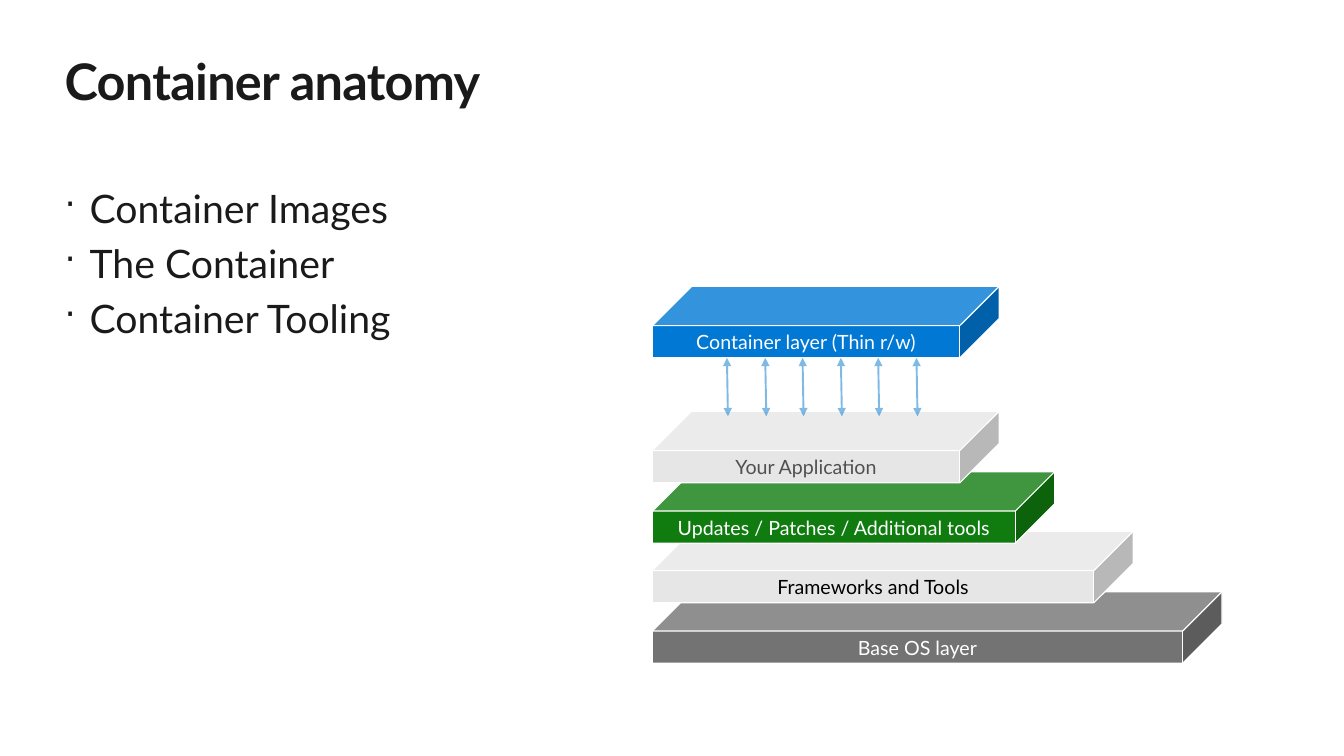
from lxml.etree import SubElement
from pptx import Presentation
from pptx.dml.color import RGBColor
from pptx.enum.shapes import MSO_CONNECTOR, MSO_SHAPE
from pptx.enum.text import MSO_ANCHOR, PP_ALIGN
from pptx.oxml.ns import qn
from pptx.util import Pt

PX = 9144  # 100 px to the inch
FONT = "Lato"

WHITE = RGBColor(0xFF, 0xFF, 0xFF)
BLACK = RGBColor(0x00, 0x00, 0x00)
INK = RGBColor(0x1A, 0x1A, 0x1A)
DARK_GRAY = RGBColor(0x73, 0x73, 0x73)
TEXT_GRAY = RGBColor(0x50, 0x50, 0x50)
LIGHT_GRAY = RGBColor(0xE6, 0xE6, 0xE6)
GREEN = RGBColor(0x10, 0x7C, 0x10)
BLUE = RGBColor(0x00, 0x78, 0xD4)
ARROW_BLUE = RGBColor(0x00, 0x75, 0xCF)

TOPICS = ["Container Images", "The Container", "Container Tooling"]

# Label, width, fill, text colour; from the bottom up
IMAGE_LAYERS = [
    ("Base OS layer", 565, DARK_GRAY, WHITE),
    ("Frameworks and Tools", 477, LIGHT_GRAY, BLACK),
    ("Updates / Patches / Additional tools", 399, GREEN, WHITE),
    ("Your Application", 344, LIGHT_GRAY, TEXT_GRAY),
]
LAYER_HEIGHT = 71
LAYER_STEP = 59.7
ARROW_COUNT = 6
ARROW_STEP = 37.6


def px(*lengths):
    return [round(length) * PX for length in lengths]


def style_paragraph(paragraph, size, color, bold=False):
    for run in paragraph.runs:
        run.font.name = FONT
        run.font.size = Pt(size)
        run.font.bold = bold
        run.font.color.rgb = color


def add_text_frame(slide, left, top, width, height):
    """Add a wrapping text box without insets and return its text frame."""
    text_frame = slide.shapes.add_textbox(*px(left, top, width, height)).text_frame
    text_frame.word_wrap = True
    text_frame.margin_left = text_frame.margin_right = 0
    text_frame.margin_top = text_frame.margin_bottom = 0
    return text_frame


def add_title(slide, left, top, width, height):
    text_frame = add_text_frame(slide, left, top, width, height)
    text_frame.text = "Container anatomy"
    paragraph = text_frame.paragraphs[0]
    style_paragraph(paragraph, 36, INK, bold=True)
    paragraph.runs[0].font._element.set("spc", "-50")


def add_topics(slide, left, top, width, height):
    text_frame = add_text_frame(slide, left, top, width, height)
    text_frame.text = "\n".join(TOPICS)
    indent = 25 * PX
    for paragraph in text_frame.paragraphs:
        style_paragraph(paragraph, 28, INK)
        paragraph.space_before = Pt(5.6)
        properties = paragraph._p.get_or_add_pPr()
        properties.set("marL", str(indent))
        properties.set("indent", str(-indent))
        SubElement(properties, qn("a:buSzPct")).set("val", "90000")
        SubElement(properties, qn("a:buChar")).set("char", "·")


def add_layer(slide, left, top, width, label, fill, text_color):
    cube = slide.shapes.add_shape(MSO_SHAPE.CUBE, *px(left, top, width, LAYER_HEIGHT))
    cube.adjustments[0] = 0.55
    cube.shadow.inherit = False
    cube.fill.solid()
    cube.fill.fore_color.rgb = fill
    cube.line.color.rgb = WHITE
    cube.line.width = Pt(0.85)
    text_frame = cube.text_frame
    text_frame.vertical_anchor = MSO_ANCHOR.MIDDLE
    text_frame.text = label
    paragraph = text_frame.paragraphs[0]
    paragraph.alignment = PP_ALIGN.CENTER
    style_paragraph(paragraph, 14, text_color)


def add_double_arrow(slide, left, top, height):
    arrow = slide.shapes.add_connector(
        MSO_CONNECTOR.STRAIGHT, *px(left, top, left + 1, top + height))
    arrow.line.color.rgb = ARROW_BLUE
    arrow.line.width = Pt(1.35)
    line = arrow.line._get_or_add_ln()
    color = line.find(qn("a:solidFill")).find(qn("a:srgbClr"))
    SubElement(color, qn("a:alpha")).set("val", "50000")
    for end in ("a:headEnd", "a:tailEnd"):
        SubElement(line, qn(end)).set("type", "triangle")
    SubElement(arrow._element.spPr, qn("a:effectLst"))


def add_layer_stack(slide, left, top, height):
    """Stack the image layers up from the bottom, with the container layer on top."""
    base_top = top + height - LAYER_HEIGHT
    for level, (label, width, fill, text_color) in enumerate(IMAGE_LAYERS):
        layer_top = base_top - level * LAYER_STEP
        add_layer(slide, left, layer_top, width, label, fill, text_color)
    add_layer(slide, left, top, 344, "Container layer (Thin r/w)", BLUE, WHITE)
    for index in range(ARROW_COUNT):
        add_double_arrow(slide, left + 74 + index * ARROW_STEP, top + LAYER_HEIGHT, 58)


def main():
    presentation = Presentation()
    presentation.slide_width, presentation.slide_height = px(1333, 750)
    slide = presentation.slides.add_slide(presentation.slide_layouts[6])
    add_title(slide, 64, 50, 1205, 61)
    add_topics(slide, 64, 183, 1100, 440)
    add_layer_stack(slide, 647, 284, 374)
    presentation.save("out.pptx")


if __name__ == "__main__":
    main()
